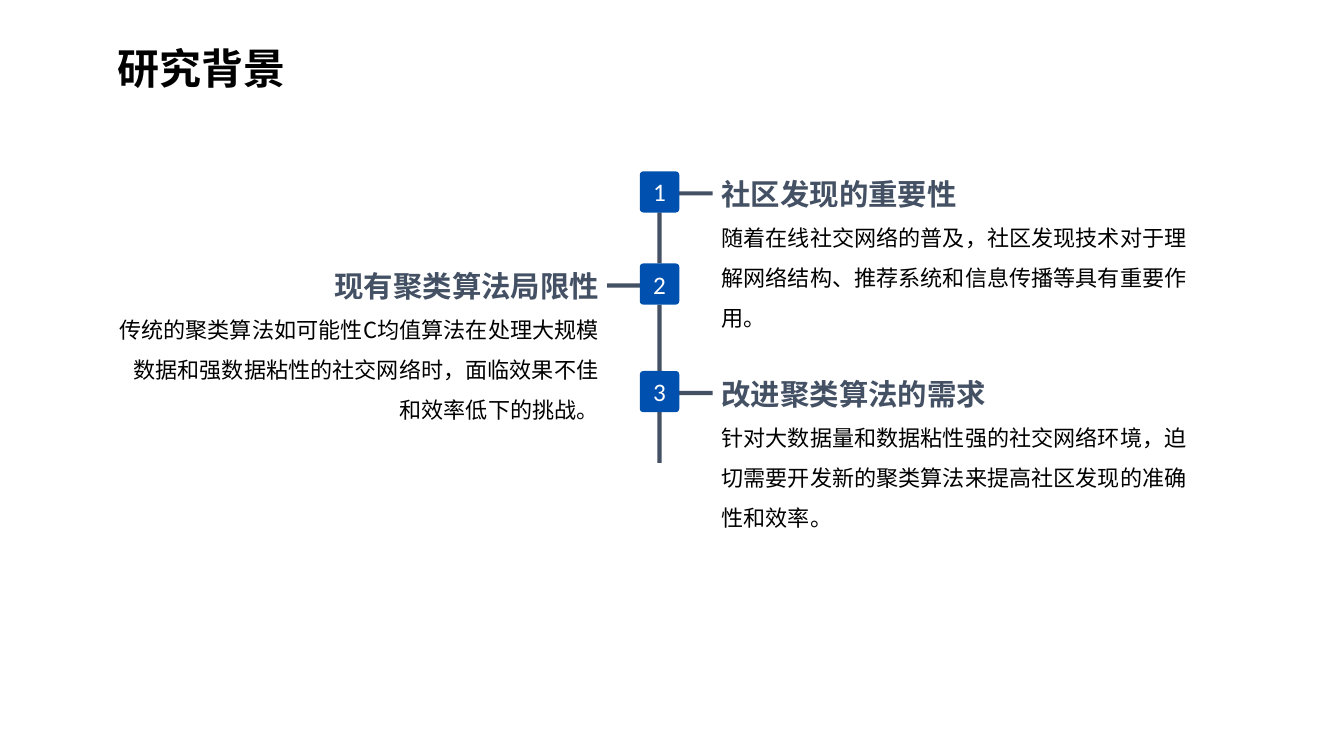
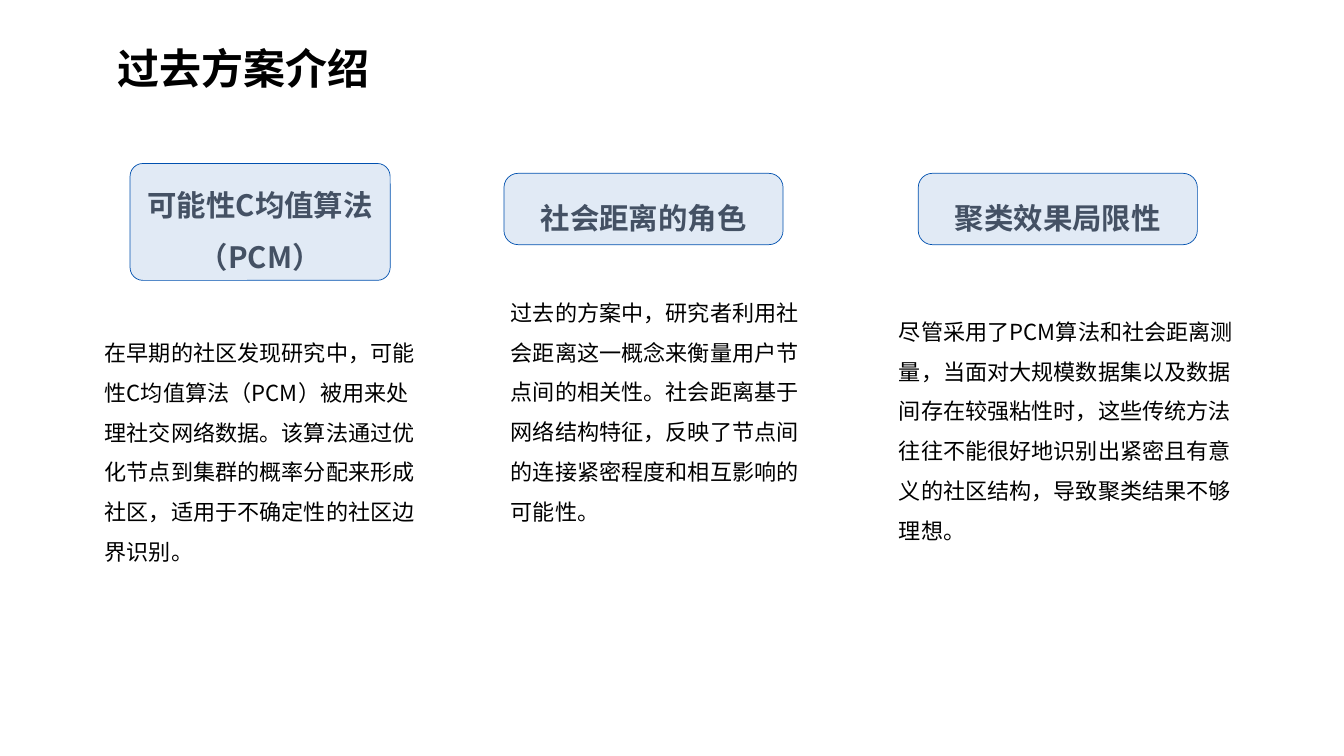
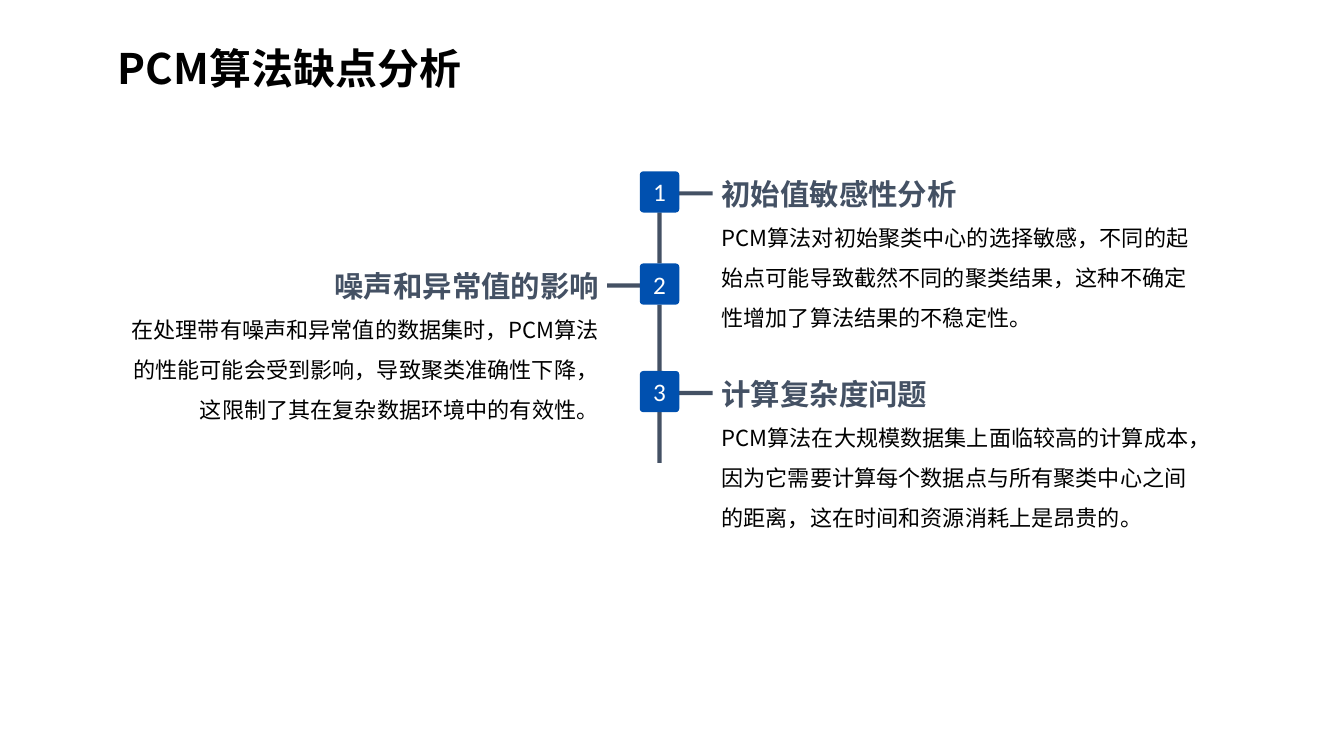
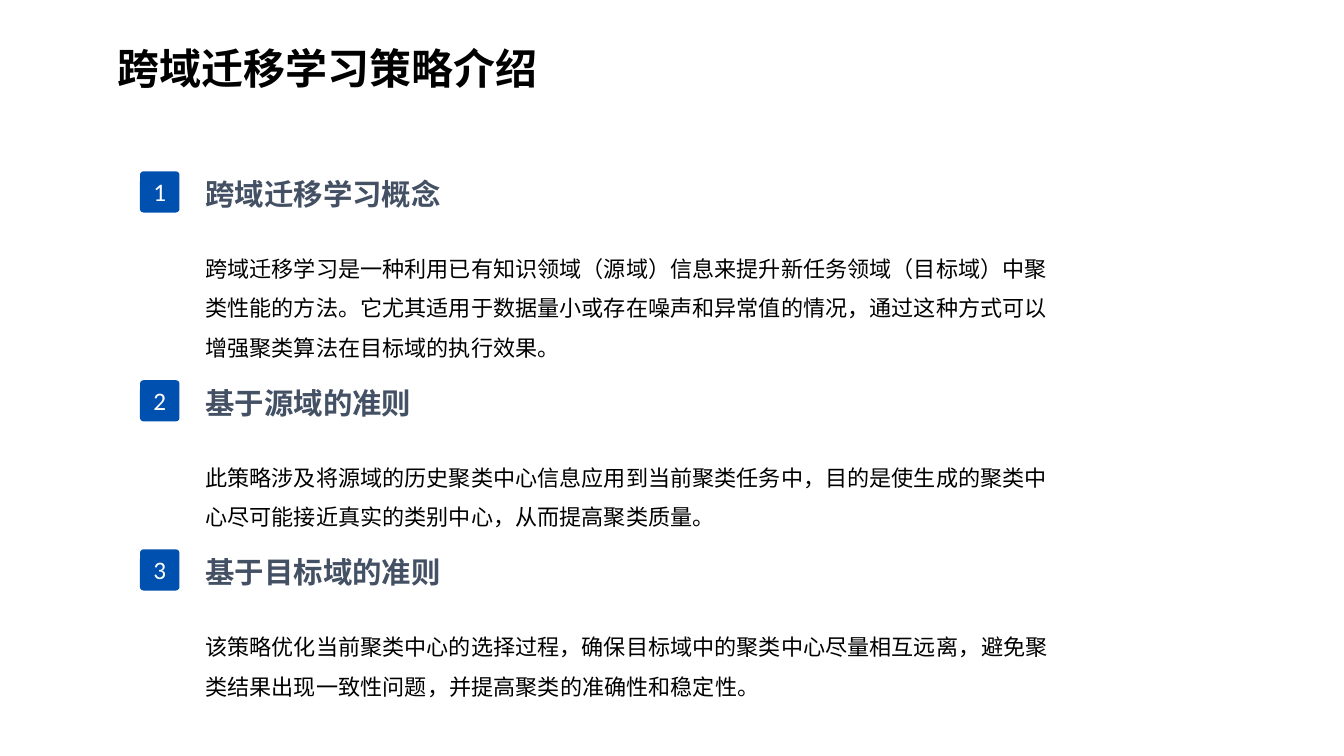
from lxml import etree
from pptx import Presentation
from pptx.dml.color import RGBColor
from pptx.enum.lang import MSO_LANGUAGE_ID
from pptx.enum.shapes import MSO_SHAPE
from pptx.enum.text import MSO_ANCHOR, MSO_AUTO_SIZE, PP_ALIGN
from pptx.oxml.ns import qn
from pptx.util import Pt

BLACK = RGBColor(0x00, 0x00, 0x00)
WHITE = RGBColor(0xFF, 0xFF, 0xFF)
SLATE = RGBColor(0x44, 0x51, 0x64)
BLUE = RGBColor(0x00, 0x50, 0xAF)
PALE = RGBColor(0xE1, 0xEA, 0xF5)

RECT, ROUND = MSO_SHAPE.RECTANGLE, MSO_SHAPE.ROUNDED_RECTANGLE
LEFT, CENTER, RIGHT = PP_ALIGN.LEFT, PP_ALIGN.CENTER, PP_ALIGN.RIGHT
MIDDLE = MSO_ANCHOR.MIDDLE
GROW, FIXED = MSO_AUTO_SIZE.SHAPE_TO_FIT_TEXT, MSO_AUTO_SIZE.NONE
CHINESE = MSO_LANGUAGE_ID.SIMPLIFIED_CHINESE

TEXT_FONT, NUMBER_FONT = "Noto Sans CJK SC", "Calibri"
TITLE_SIZE, HEAD_SIZE, BODY_SIZE, NUMBER_SIZE = 30, 21, 15.8, 18
BADGE_WIDTH, BADGE_HEIGHT = 28.2, 29.4
BAR, TICK = 3, 24.4
FIRST_TOP = 122.4


class Deck:
    """Hold the shared style and the current slide, with a method per element."""

    def __init__(self):
        self.deck = Presentation()
        self.deck.slide_width, self.deck.slide_height = Pt(960), Pt(540)
        self.page = None

    def add_page(self, title):
        self.page = self.deck.slides.add_slide(self.deck.slide_layouts[6])
        frame = self.text_box(77, 8.6, 738, 61.2)
        self.add_text(frame, title, TITLE_SIZE, BLACK, bold=True, spacing=1.5)

    def text_box(self, left, top, width, height):
        box = self.page.shapes.add_textbox(Pt(left), Pt(top), Pt(width), Pt(height))
        return self.prepare(box.text_frame, GROW)

    def prepare(self, frame, auto_size):
        frame.word_wrap = True
        frame.auto_size = auto_size
        frame.vertical_anchor = MIDDLE
        return frame

    def add_text(self, frame, text, size, color, bold=False, align=LEFT,
                 spacing=1.0, after=0, font=TEXT_FONT):
        para = frame.paragraphs[0]
        if para.runs:
            para = frame.add_paragraph()
        para.alignment = align
        para.line_spacing = spacing
        para.space_after = Pt(after)
        span = para.add_run()
        span.text = text
        span.font.size = Pt(size)
        span.font.bold = bold
        span.font.color.rgb = color
        span.font.name = font
        span.font.language_id = CHINESE
        etree.SubElement(span.font._element, qn("a:ea")).set("typeface", font)

    def shape(self, kind, left, top, width, height, fill, corner=None, line=None):
        box = self.page.shapes.add_shape(kind, Pt(left), Pt(top), Pt(width), Pt(height))
        box.shadow.inherit = False
        box.fill.solid()
        box.fill.fore_color.rgb = fill
        if corner is not None:
            box.adjustments[0] = corner
        if line is None:
            box.line.fill.background()
        else:
            box.line.color.rgb = line
            box.line.width = Pt(0.5)
        return box

    def badge(self, number, left, top):
        box = self.shape(ROUND, left, top, BADGE_WIDTH, BADGE_HEIGHT, BLUE, corner=0.09)
        frame = self.prepare(box.text_frame, FIXED)
        self.add_text(frame, str(number), NUMBER_SIZE, WHITE, align=CENTER, font=NUMBER_FONT)

    def section(self, left, top, width, height, head, body, align=LEFT, after=0):
        frame = self.text_box(left, top, width, height)
        self.add_text(frame, head, HEAD_SIZE, SLATE, bold=True, align=align, after=after)
        self.add_text(frame, body, BODY_SIZE, BLACK, align=align, spacing=1.5)

    def timeline(self, sections):
        badge_left = 457
        badge_right = badge_left + BADGE_WIDTH
        tops = [FIRST_TOP, 188.2, 265]
        ends = tops[1:] + [330.6]
        for number, (top, end, (head, body)) in enumerate(zip(tops, ends, sections), 1):
            on_left = number % 2 == 0
            self.section(77 if on_left else 508.3, top, 358, 117.4, head, body,
                         RIGHT if on_left else LEFT)
            bottom = top + BADGE_HEIGHT
            self.shape(RECT, badge_left + (BADGE_WIDTH - BAR) / 2, bottom,
                       BAR, end - bottom, SLATE)
            self.shape(RECT, badge_left - TICK + 1 if on_left else badge_right - 0.6,
                       top + 14.3, TICK, BAR, SLATE)
            self.badge(number, badge_left, top)

    def card(self, text_place, head_place, corner, head, body):
        self.add_text(self.text_box(*text_place), body, BODY_SIZE, BLACK, spacing=1.5)
        box = self.shape(ROUND, *head_place, PALE, corner, BLUE)
        frame = self.prepare(box.text_frame, GROW)
        self.add_text(frame, head, HEAD_SIZE, SLATE, bold=True, align=CENTER, spacing=1.5)

    def numbered_list(self, sections):
        rows = [(FIRST_TOP, 139), (271.6, 110.9), (392.4, 110.9)]
        for number, ((top, height), (head, body)) in enumerate(zip(rows, sections), 1):
            self.section(139.7, top, 631.4, height, head, body, after=21.6)
            self.badge(number, 100, top)


def main():
    """Build the four slides and save them."""
    deck = Deck()

    deck.add_page("研究背景")
    deck.timeline([
        ("社区发现的重要性",
         "随着在线社交网络的普及，社区发现技术对于理解网络结构、推荐系统和信息传播等具有重要作用。"),
        ("现有聚类算法局限性",
         "传统的聚类算法如可能性C均值算法在处理大规模数据和强数据粘性的社交网络时，"
         "面临效果不佳和效率低下的挑战。"),
        ("改进聚类算法的需求",
         "针对大数据量和数据粘性强的社交网络环境，迫切需要开发新的聚类算法来提高社区发现的准确性和效率。"),
    ])

    deck.add_page("过去方案介绍")
    deck.card((67.7, 230.4, 242.6, 175.7), (92.9, 116.8, 185.8, 83.5), 0.11,
              "可能性C均值算法（PCM）",
              "在早期的社区发现研究中，可能性C均值算法（PCM）被用来处理社交网络数据。"
              "该算法通过优化节点到集群的概率分配来形成社区，适用于不确定性的社区边界识别。")
    deck.card((357.8, 201, 233.3, 177), (360, 123.8, 199.4, 51), 0.2,
              "社会距离的角色",
              "过去的方案中，研究者利用社会距离这一概念来衡量用户节点间的相关性。"
              "社会距离基于网络结构特征，反映了节点间的连接紧密程度和相互影响的可能性。")
    deck.card((635, 215.3, 257.8, 175.7), (655.9, 123.8, 199.4, 51), 0.2,
              "聚类效果局限性",
              "尽管采用了PCM算法和社会距离测量，当面对大规模数据集以及数据间存在较强粘性时，"
              "这些传统方法往往不能很好地识别出紧密且有意义的社区结构，导致聚类结果不够理想。")

    deck.add_page("PCM算法缺点分析")
    deck.timeline([
        ("初始值敏感性分析",
         "PCM算法对初始聚类中心的选择敏感，不同的起始点可能导致截然不同的聚类结果，"
         "这种不确定性增加了算法结果的不稳定性。"),
        ("噪声和异常值的影响",
         "在处理带有噪声和异常值的数据集时，PCM算法的性能可能会受到影响，导致聚类准确性下降，"
         "这限制了其在复杂数据环境中的有效性。"),
        ("计算复杂度问题",
         "PCM算法在大规模数据集上面临较高的计算成本，因为它需要计算每个数据点与所有聚类中心之间的距离，"
         "这在时间和资源消耗上是昂贵的。"),
    ])

    deck.add_page("跨域迁移学习策略介绍")
    deck.numbered_list([
        ("跨域迁移学习概念",
         "跨域迁移学习是一种利用已有知识领域（源域）信息来提升新任务领域（目标域）中聚类性能的方法。"
         "它尤其适用于数据量小或存在噪声和异常值的情况，通过这种方式可以增强聚类算法在目标域的执行效果。"),
        ("基于源域的准则",
         "此策略涉及将源域的历史聚类中心信息应用到当前聚类任务中，"
         "目的是使生成的聚类中心尽可能接近真实的类别中心，从而提高聚类质量。"),
        ("基于目标域的准则",
         "该策略优化当前聚类中心的选择过程，确保目标域中的聚类中心尽量相互远离，"
         "避免聚类结果出现一致性问题，并提高聚类的准确性和稳定性。"),
    ])

    deck.deck.save("out.pptx")


if __name__ == "__main__":
    main()
